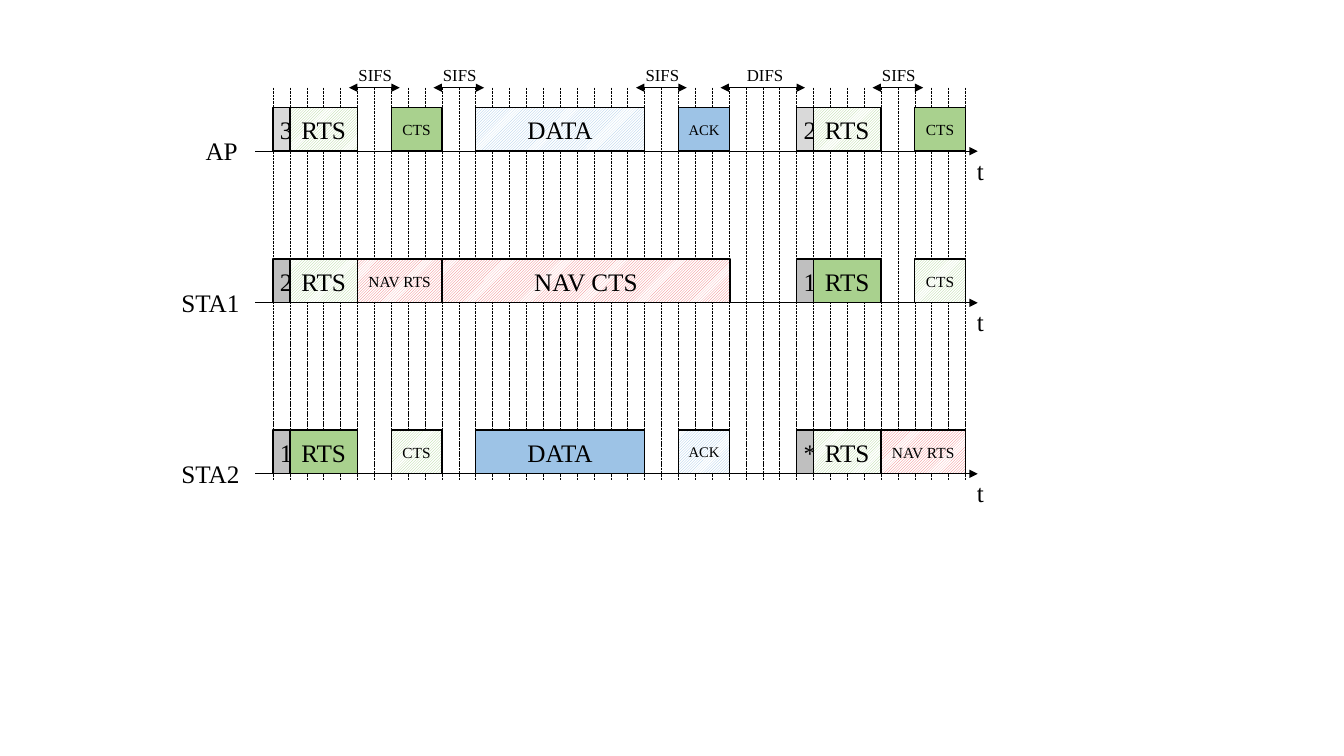
from dataclasses import dataclass

from lxml.etree import SubElement
from pptx import Presentation
from pptx.dml.color import RGBColor
from pptx.enum.dml import MSO_LINE, MSO_PATTERN
from pptx.enum.shapes import MSO_CONNECTOR, MSO_SHAPE
from pptx.enum.text import MSO_AUTO_SIZE, PP_ALIGN
from pptx.oxml.ns import qn
from pptx.shapes.connector import Connector
from pptx.text.text import TextFrame
from pptx.util import Cm, Pt

COLORS = {
    "black": "000000",
    "white": "FFFFFF",
    "gray": "BFBFBF",
    "pale": "D9D9D9",
    "green": "A9D18E",
    "blue": "9DC3E6",
    "red": "EF6F72",
}
FONT = "Times New Roman"
SLOTS = 41
GRID_LEFT, GRID_RIGHT = 6.88, 24.33
GRID_TOP, GRID_BOTTOM = 2.21, 12.09
AXIS_LEFT, AXIS_RIGHT = 6.43, 24.64
FRAME_HEIGHT = 1.1


@dataclass
class Frame:
    text: str
    start: float
    slots: float
    color: str
    hatched: bool = False
    size: float = 18


@dataclass
class Station:
    name: str
    name_left: float
    axis: float
    frames: list[Frame]


@dataclass
class Gap:
    text: str
    center: int
    slots: int


def counter(text: str, start: int, color: str = "gray") -> Frame:
    return Frame(text, start, 1, color)


def rts(start: int, hatched: bool = True) -> Frame:
    return Frame("RTS", start, 4, "green", hatched)


def cts(start: int, hatched: bool = False) -> Frame:
    return Frame("CTS", start, 3, "green", hatched, 11)


def nav_rts(start: int) -> Frame:
    return Frame("NAV RTS", start, 5, "red", True, 11)


def data(hatched: bool) -> Frame:
    return Frame("DATA", 12, 10, "blue", hatched)


def ack(hatched: bool) -> Frame:
    return Frame("ACK", 24, 3.05, "blue", hatched, 10.5)


STATIONS = [
    Station("AP", 4.93, 3.81, [
        counter("3", 0, "pale"), rts(1), cts(7), data(True), ack(False),
        counter("2", 31, "pale"), rts(32), cts(38),
    ]),
    Station("STA1", 4.32, 7.63, [
        counter("2", 0), rts(1), nav_rts(5),
        Frame("NAV CTS", 10, 17.05, "red", True),
        counter("1", 31), rts(32, False), cts(38, True),
    ]),
    Station("STA2", 4.32, 11.94, [
        counter("1", 0), rts(1, False), cts(7, True), data(False), ack(True),
        counter("*", 31), rts(32), nav_rts(36),
    ]),
]
GAPS = [
    Gap("SIFS", 6, 3),
    Gap("SIFS", 11, 3),
    Gap("SIFS", 23, 3),
    Gap("DIFS", 29, 5),
    Gap("SIFS", 37, 3),
]

prs = Presentation()
prs.slide_width, prs.slide_height = Cm(33.87), Cm(19.05)
s = prs.slides.add_slide(prs.slide_layouts[6])


def rgb(name: str) -> RGBColor:
    return RGBColor.from_string(COLORS[name])


def slot_x(slot: float) -> float:
    return GRID_LEFT + slot * (GRID_RIGHT - GRID_LEFT) / SLOTS


def write(tf: TextFrame, text: str, size: float, align: PP_ALIGN) -> None:
    tf.word_wrap = True
    p = tf.paragraphs[0]
    p.alignment = align
    r = p.add_run()
    r.text = text
    r.font.name = FONT
    r.font.size = Pt(size)
    r.font.color.rgb = rgb("black")


def add_label(text: str, left: float, top: float, width: float, height: float, size: float) -> None:
    tf = s.shapes.add_textbox(Cm(left), Cm(top), Cm(width), Cm(height)).text_frame
    write(tf, text, size, PP_ALIGN.LEFT)
    tf.auto_size = MSO_AUTO_SIZE.SHAPE_TO_FIT_TEXT


def add_line(x1: float, y1: float, x2: float, y2: float, width: float, heads: tuple[str, ...] = ()) -> Connector:
    line = s.shapes.add_connector(MSO_CONNECTOR.STRAIGHT, Cm(x1), Cm(y1), Cm(x2), Cm(y2))
    line.line.color.rgb = rgb("black")
    line.line.width = Pt(width)
    props = line._element.spPr
    for head in heads:
        SubElement(props.find(qn("a:ln")), qn(head), type="triangle")
    SubElement(props, qn("a:effectLst"))
    return line


def add_frame(frame: Frame, axis: float) -> None:
    left = slot_x(frame.start)
    width = slot_x(frame.start + frame.slots) - left
    sp = s.shapes.add_shape(
        MSO_SHAPE.RECTANGLE, Cm(left), Cm(axis - FRAME_HEIGHT), Cm(width), Cm(FRAME_HEIGHT)
    )
    sp.shadow.inherit = False
    if frame.hatched:
        sp.fill.patterned()
        sp.fill.pattern = MSO_PATTERN.LIGHT_UPWARD_DIAGONAL
        sp.fill.fore_color.rgb = rgb(frame.color)
        sp.fill.back_color.rgb = rgb("white")
    else:
        sp.fill.solid()
        sp.fill.fore_color.rgb = rgb(frame.color)
    sp.line.color.rgb = rgb("black")
    sp.line.width = Pt(1)
    write(sp.text_frame, frame.text, frame.size, PP_ALIGN.CENTER)


def add_station(station: Station) -> None:
    add_label(station.name, station.name_left, station.axis - 0.52, 2.49, 1.03, 18)
    add_label("t", 24.37, station.axis - 0.03, 2.49, 1.03, 18)
    for frame in station.frames:
        add_frame(frame, station.axis)


def add_gap(gap: Gap) -> None:
    add_label(gap.text, slot_x(gap.center) - 0.65, 1.5, 1.9, 0.77, 12)
    left, right = (slot_x(gap.center + side * gap.slots / 2) for side in (-1, 1))
    add_line(left, GRID_TOP, right, GRID_TOP, 0.5, ("a:headEnd", "a:tailEnd"))


for station in STATIONS:
    add_line(AXIS_LEFT, station.axis, AXIS_RIGHT, station.axis, 0.5, ("a:tailEnd",))
for slot in range(SLOTS + 1):
    tick = add_line(slot_x(slot), GRID_TOP, slot_x(slot), GRID_BOTTOM, 0.25)
    tick.line.dash_style = MSO_LINE.SQUARE_DOT
for station in STATIONS:
    add_station(station)
for gap in GAPS:
    add_gap(gap)

prs.save("out.pptx")
